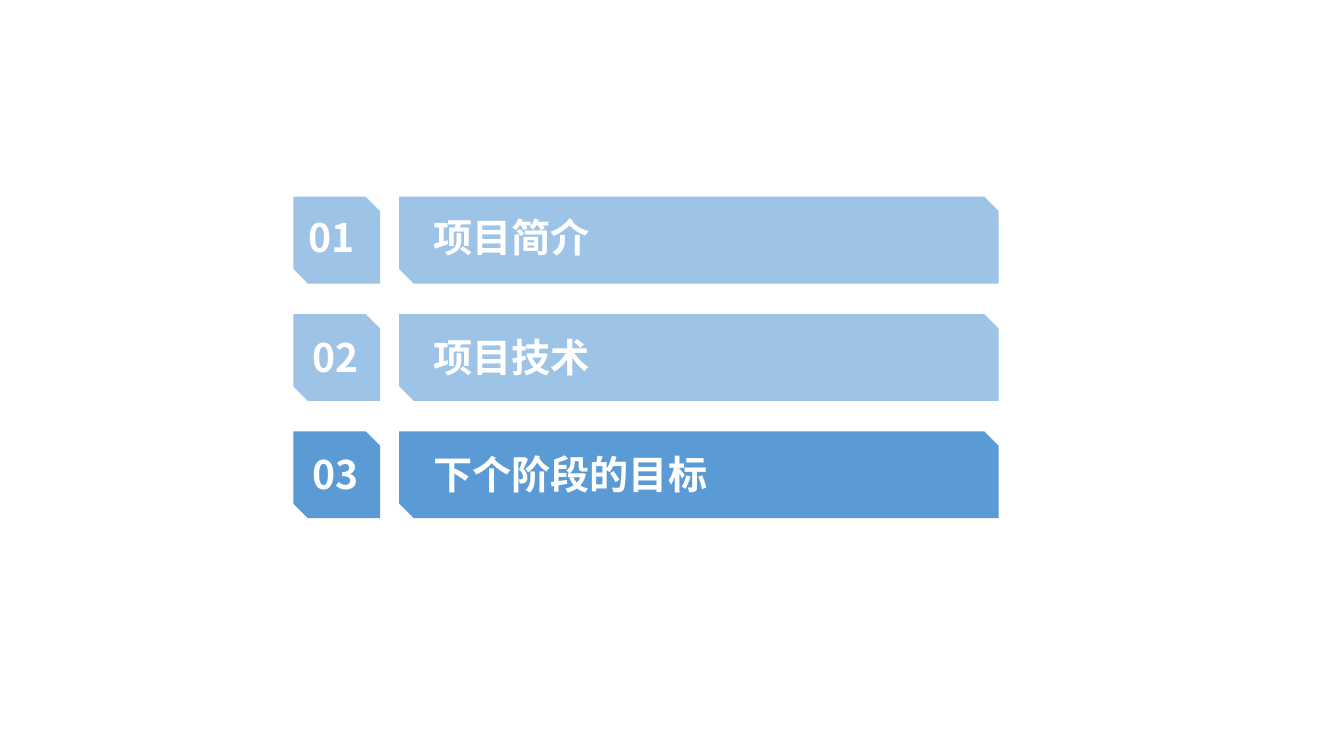
"""Build an agenda slide with three numbered bars, the last one highlighted."""
from lxml.etree import SubElement
from pptx import Presentation
from pptx.dml.color import RGBColor
from pptx.enum.shapes import MSO_SHAPE as Shape
from pptx.enum.text import MSO_AUTO_SIZE as AutoSize
from pptx.oxml.ns import qn
from pptx.util import Pt

PALE_BLUE = RGBColor(0x9D, 0xC3, 0xE6)
BLUE = RGBColor(0x5B, 0x9B, 0xD5)
WHITE = RGBColor(0xFF, 0xFF, 0xFF)

NUMBER_LEFT, BAR_LEFT, LABEL_LEFT = 209.5, 285.2, 302.4
FIRST_TOP, ROW_PITCH, ROW_HEIGHT, BAR_WIDTH = 140.5, 83.8, 62, 428.2
AGENDA = [
    ("01", "项目简介", PALE_BLUE, 213.1, 8.5, 126.7),
    ("02", "项目技术", PALE_BLUE, 216, 10.2, 126.7),
    ("03", "下个阶段的目标", BLUE, 216, 10.2, 210.2),
]


class AgendaPage:
    font = "Noto Sans CJK SC"
    size = Pt(28)

    def __init__(self, page):
        self.page = page

    def panel(self, left, top, width, color):
        panel = self.page.shapes.add_shape(
            Shape.SNIP_2_DIAG_RECTANGLE, Pt(left), Pt(top), Pt(width), Pt(ROW_HEIGHT))
        panel.shadow.inherit = False
        panel.fill.solid()
        panel.fill.fore_color.rgb = color
        panel.line.fill.background()

    def text(self, left, top, width, height, words):
        box = self.page.shapes.add_textbox(Pt(left), Pt(top), Pt(width), Pt(height))
        frame = box.text_frame
        frame.text = words
        frame.word_wrap = False
        frame.auto_size = AutoSize.SHAPE_TO_FIT_TEXT
        span = frame.paragraphs[0].runs[0]
        span.font.size = self.size
        span.font.bold = True
        span.font.color.rgb = WHITE
        span.font.name = self.font
        SubElement(span.font._element, qn("a:ea"), typeface=self.font)


def main():
    deck = Presentation()
    deck.slide_width, deck.slide_height = Pt(960), Pt(540)
    agenda = AgendaPage(deck.slides.add_slide(deck.slide_layouts[6]))
    for row, (number, label, color, digit_left, inset, label_width) in enumerate(AGENDA):
        top = FIRST_TOP + row * ROW_PITCH
        agenda.panel(NUMBER_LEFT, top, ROW_HEIGHT, color)
        agenda.panel(BAR_LEFT, top, BAR_WIDTH, color)
        agenda.text(digit_left, top + inset, 49, 41, number)
        agenda.text(LABEL_LEFT, top + inset, label_width, 43.2, label)
    deck.save("out.pptx")


if __name__ == "__main__":
    main()
